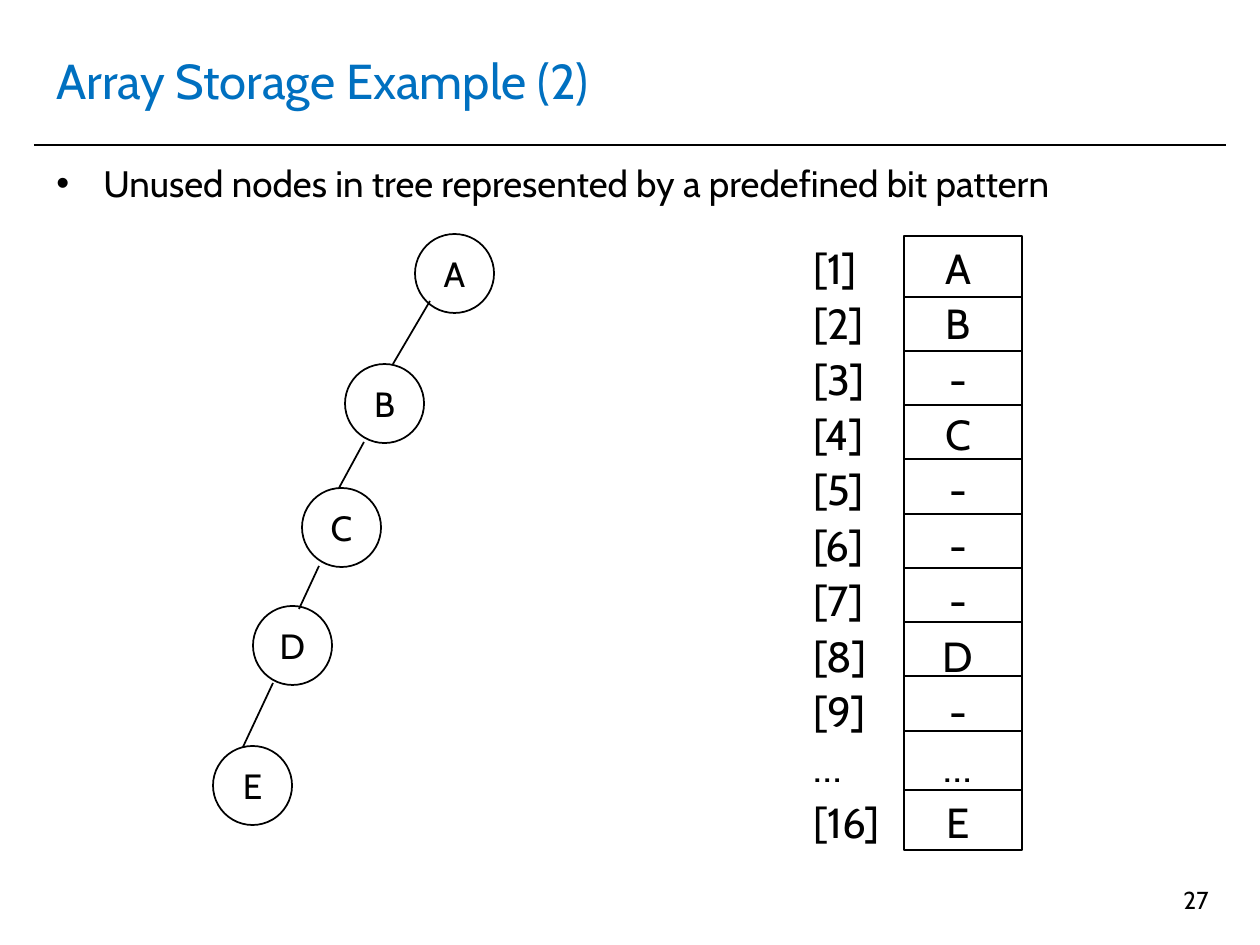
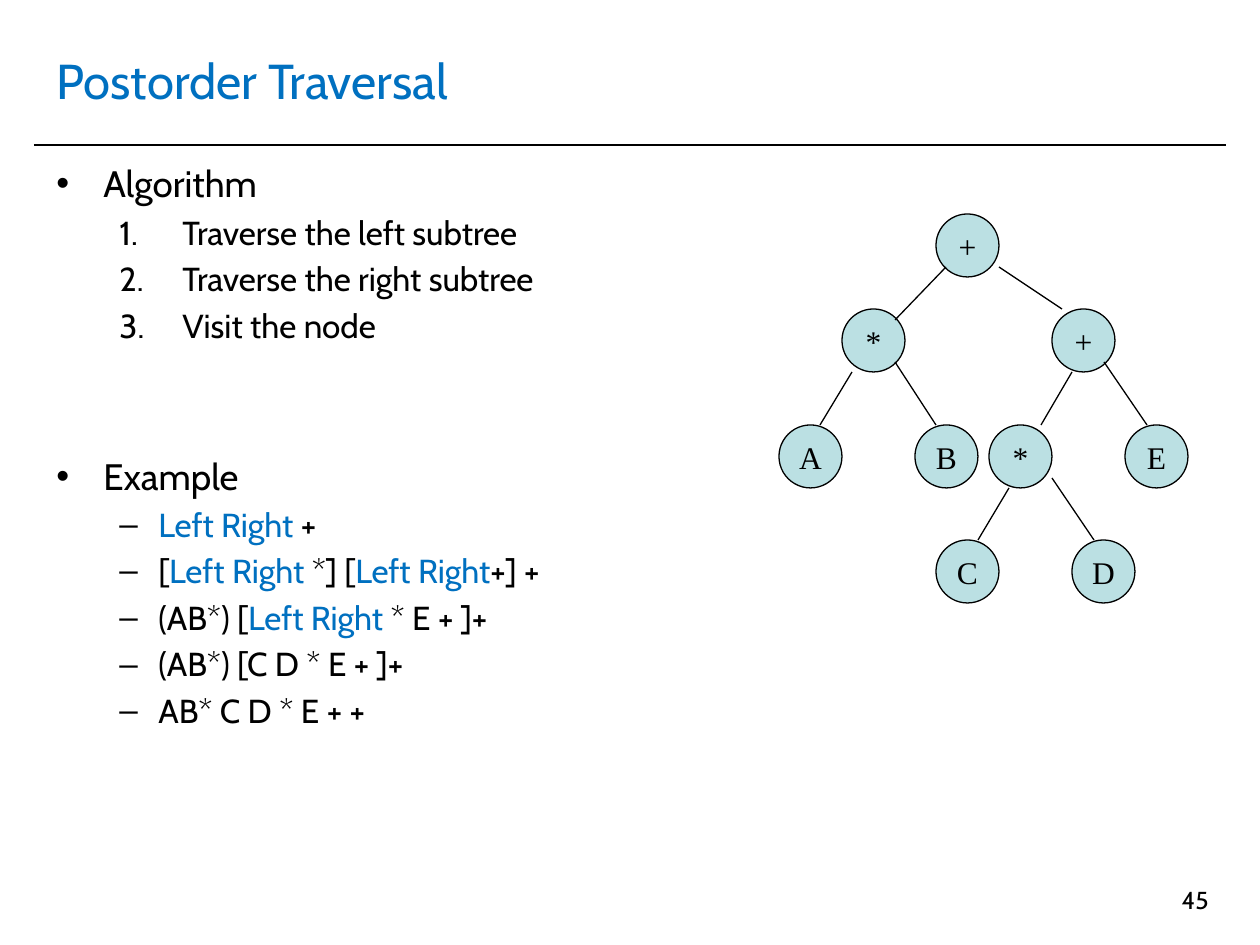
from lxml.etree import SubElement
from pptx import Presentation
from pptx.dml.color import RGBColor
from pptx.enum.shapes import MSO_CONNECTOR, MSO_SHAPE
from pptx.enum.text import MSO_ANCHOR, PP_ALIGN
from pptx.oxml.ns import qn
from pptx.util import Pt

# Shared look
EMU_PER_PX = 914400 / 126
BLACK, BLUE, PALE_TEAL = "000000", "0070C0", "BBE0E3"
SANS, SERIF = "Cabin", "Times New Roman"
HIGHLIGHT = "Left Right"

# Outline levels: text size, left margin and first-line indent in px, bullet
HEADING = {"level": 0, "size": 21, "margin": 47, "indent": -47, "bullet": "•"}
STEP = {"level": 1, "size": 19, "margin": 126, "indent": -63, "bullet": None}
DASH = {"level": 1, "size": 19, "margin": 102, "indent": -39, "bullet": "–"}
SECTION_GAP = 62

# Skewed tree: circle left and top, then edge ends
SKEWED_NODES = [("A", 415, 234), ("B", 345, 364), ("C", 302, 488),
                ("D", 253, 606), ("E", 213, 746)]
SKEWED_EDGES = [(430, 301, 393, 364), (364, 442, 339, 488),
                (319, 566, 299, 609), (273, 683, 243, 747)]

# Array contents
INDEXES = [f"[{index}]" for index in range(1, 10)] + ["…", "[16]"]
VALUES = ["A", "B", "-", "C", "-", "-", "-", "D", "-", "…", "E"]

# Expression tree
EXPRESSION_NODES = [("+", 936, 214), ("*", 842, 309), ("+", 1052, 309),
                    ("A", 779, 425), ("B", 915, 425), ("*", 989, 425),
                    ("E", 1125, 425), ("C", 936, 540), ("D", 1072, 540)]
EXPRESSION_EDGES = [(946, 267, 895, 320), (999, 267, 1062, 309),
                    (852, 372, 820, 425), (895, 362, 936, 425),
                    (1072, 372, 1041, 425), (1104, 362, 1147, 425),
                    (1009, 488, 978, 540), (1052, 478, 1094, 540)]

SKEWED_STYLE = {"diameter": 79, "fill": None, "weight": 1,
                "font": SANS, "size": 20}
EXPRESSION_STYLE = {"diameter": 63, "fill": PALE_TEAL, "weight": 0.75,
                    "font": SERIF, "size": 18}


def px(*lengths):
    return [round(length * EMU_PER_PX) for length in lengths]


def color(hex_value):
    return RGBColor.from_string(hex_value)


def set_format(target, values):
    for name, value in values.items():
        setattr(target, name, value)


def add_run(paragraph, text, size, font=SANS, text_color=BLACK):
    run = paragraph.add_run()
    run.text = text
    set_format(run.font, {"name": font, "size": Pt(size)})
    run.font.color.rgb = color(text_color)


def add_text(slide, box, lines, size, text_color=BLACK,
             anchor=MSO_ANCHOR.TOP, **paragraph_format):
    frame = slide.shapes.add_textbox(*px(*box)).text_frame
    set_format(frame, {"word_wrap": True, "vertical_anchor": anchor})
    for number, line in enumerate(lines):
        paragraph = frame.add_paragraph() if number else frame.paragraphs[0]
        set_format(paragraph, paragraph_format)
        add_run(paragraph, line, size, text_color=text_color)


def add_line(slide, ends, weight=1):
    line = slide.shapes.add_connector(MSO_CONNECTOR.STRAIGHT, *px(*ends))
    line.line.width = Pt(weight)
    line.line.color.rgb = color(BLACK)
    SubElement(line._element.spPr, qn("a:effectLst"))


def add_outlined(slide, kind, box, fill=None, weight=1):
    shape = slide.shapes.add_shape(kind, *px(*box))
    shape.shadow.inherit = False
    if fill:
        shape.fill.solid()
        shape.fill.fore_color.rgb = color(fill)
    else:
        shape.fill.background()
    shape.line.width = Pt(weight)
    shape.line.color.rgb = color(BLACK)
    return shape


def add_tree(slide, nodes, edges, style):
    diameter = style["diameter"]
    for label, left, top in nodes:
        node = add_outlined(slide, MSO_SHAPE.OVAL,
                            (left, top, diameter, diameter),
                            style["fill"], style["weight"])
        frame = node.text_frame
        set_format(frame, {"word_wrap": False,
                           "vertical_anchor": MSO_ANCHOR.MIDDLE})
        paragraph = frame.paragraphs[0]
        paragraph.alignment = PP_ALIGN.CENTER
        add_run(paragraph, label, style["size"], style["font"])
    for ends in edges:
        add_line(slide, ends, style["weight"])


def set_bullet(paragraph, outline):
    properties = paragraph._p.get_or_add_pPr()
    margin, indent = px(outline["margin"], outline["indent"])
    properties.set("marL", str(margin))
    properties.set("indent", str(indent))
    bullet_color = SubElement(properties, qn("a:buClr"))
    SubElement(bullet_color, qn("a:srgbClr"), val=BLACK)
    if outline["bullet"]:
        SubElement(properties, qn("a:buFont"), typeface="Arial")
        SubElement(properties, qn("a:buChar"), char=outline["bullet"])
    else:
        SubElement(properties, qn("a:buAutoNum"), type="arabicPeriod")


def add_outline(slide, items):
    frame = slide.shapes.add_textbox(*px(44, 155, 1171, 704)).text_frame
    frame.word_wrap = True
    for number, (outline, text) in enumerate(items):
        paragraph = frame.add_paragraph() if number else frame.paragraphs[0]
        size = outline["size"]
        new_section = number and outline is HEADING
        gap = SECTION_GAP if new_section else size * 0.2
        set_format(paragraph, {"level": outline["level"],
                               "space_before": Pt(gap)})
        set_bullet(paragraph, outline)
        # Every highlighted phrase becomes a blue run
        for piece_number, piece in enumerate(text.split(HIGHLIGHT)):
            if piece_number:
                add_run(paragraph, HIGHLIGHT, size, text_color=BLUE)
            if piece:
                add_run(paragraph, piece, size)


def add_array(slide):
    add_outlined(slide, MSO_SHAPE.RECTANGLE, (904, 236, 118, 614))
    dividers = [297 + 434 * row // 8 for row in range(9)] + [790]
    for y in dividers:
        add_line(slide, (904, y, 1022, y))
    add_text(slide, (801, 231, 105, 629), INDEXES, 24, line_spacing=1.1)
    add_text(slide, (913, 231, 90, 629), VALUES, 24, line_spacing=1.1,
             alignment=PP_ALIGN.CENTER)


def add_slide(presentation, title, page):
    slide = presentation.slides.add_slide(presentation.slide_layouts[6])
    add_line(slide, (34, 145, 1226, 145))
    add_text(slide, (44, 26, 1171, 107), [title], 28, BLUE, MSO_ANCHOR.MIDDLE)
    add_text(slide, (927, 879, 294, 66), [page], 14,
             alignment=PP_ALIGN.RIGHT)
    return slide


def main():
    presentation = Presentation()
    width, height = px(1260, 945)
    set_format(presentation, {"slide_width": width, "slide_height": height})

    # Array storage of a skewed tree
    slide = add_slide(presentation, "Array Storage Example (2)", "27")
    add_outline(slide, [(HEADING, "Unused nodes in tree represented by "
                                  "a predefined bit pattern")])
    add_tree(slide, SKEWED_NODES, SKEWED_EDGES, SKEWED_STYLE)
    add_array(slide)

    # Postorder traversal of an expression tree
    slide = add_slide(presentation, "Postorder Traversal", "45")
    add_outline(slide, [
        (HEADING, "Algorithm"),
        (STEP, "Traverse the left subtree"),
        (STEP, "Traverse the right subtree"),
        (STEP, "Visit the node"),
        (HEADING, "Example"),
        (DASH, "Left Right +"),
        (DASH, "[Left Right *] [Left Right+] +"),
        (DASH, "(AB*) [Left Right * E + ]+"),
        (DASH, "(AB*) [C D * E + ]+"),
        (DASH, "AB* C D * E + +"),
    ])
    add_tree(slide, EXPRESSION_NODES, EXPRESSION_EDGES, EXPRESSION_STYLE)

    presentation.save("out.pptx")


if __name__ == "__main__":
    main()
